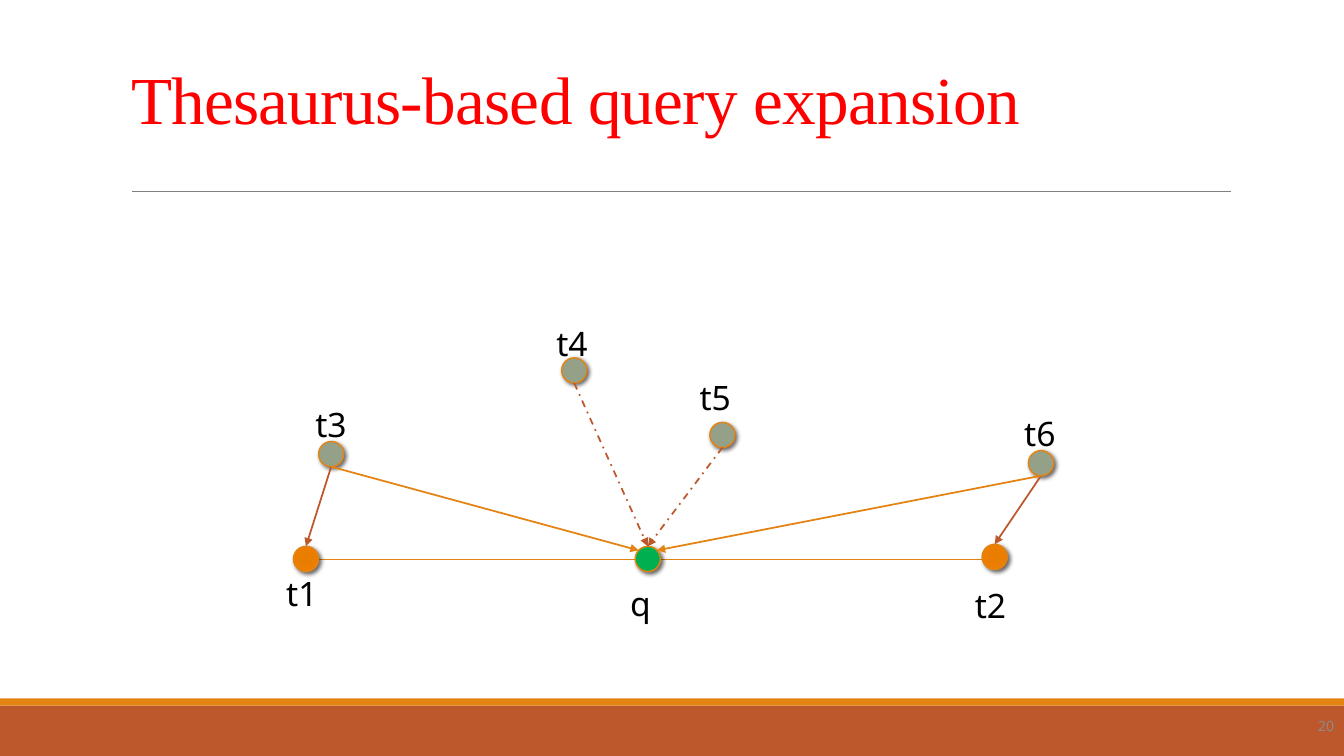
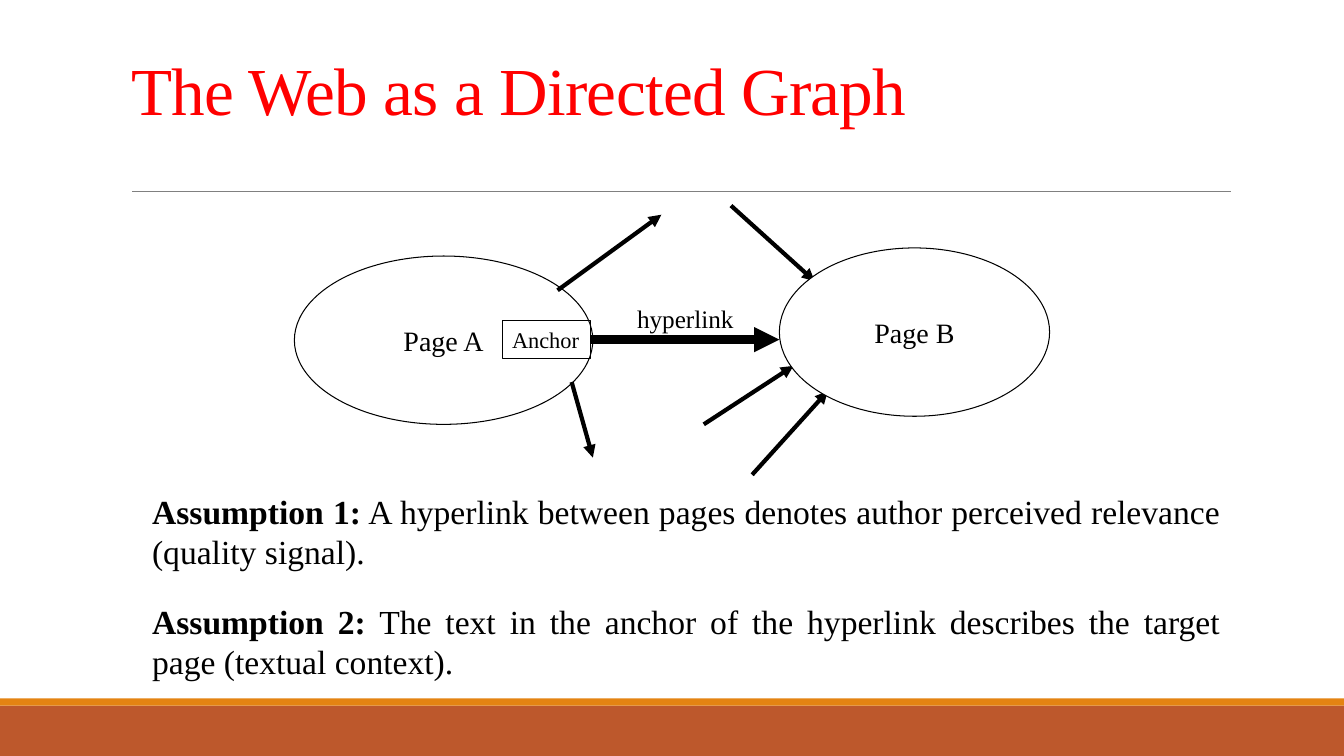
from lxml import etree
from pptx import Presentation
from pptx.dml.color import RGBColor
from pptx.enum.dml import MSO_LINE
from pptx.enum.shapes import MSO_CONNECTOR, MSO_SHAPE
from pptx.enum.text import MSO_ANCHOR, MSO_AUTO_SIZE, PP_ALIGN
from pptx.oxml import parse_xml
from pptx.oxml.ns import nsdecls, qn
from pptx.util import Inches, Pt

RECT, OVAL = MSO_SHAPE.RECTANGLE, MSO_SHAPE.OVAL
LINE, DASH = MSO_CONNECTOR.STRAIGHT, MSO_LINE.DASH_DOT
LEFT, MID, RIGHT, FULL = PP_ALIGN.LEFT, PP_ALIGN.CENTER, PP_ALIGN.RIGHT, PP_ALIGN.JUSTIFY
SERIF, SANS = "Times New Roman", "Noto Sans"
COLORS = {name: RGBColor.from_string(code) for name, code in {
    "rust": "BD582C", "amber": "E48312", "gray": "808080", "red": "FF0000",
    "black": "000000", "white": "FFFFFF", "green": "00B050", "sage": "94A088",
    "page": "8B8B8B"}.items()}

SHADOW = f"""<a:outerShdw {nsdecls("a")} blurRad="38100" dist="25400" dir="2700000" rotWithShape="0">
<a:srgbClr val="000000"><a:alpha val="60000"/></a:srgbClr></a:outerShdw>"""
STOPS = "".join(f'<a:gs pos="{pos}000"><a:srgbClr val="{code}"/></a:gs>' for pos, code in
                [(0, "E57B00"), (34, "E87D00"), (70, "EB7E00"), (100, "EF8407")])
GLOW = f"""<a:gradFill {nsdecls("a")} rotWithShape="1"><a:gsLst>{STOPS}</a:gsLst>
<a:path path="circle"><a:fillToRect l="100000" t="100000" r="100000" b="100000"/></a:path></a:gradFill>"""


def write(shape, runs, size, font=SERIF, color="black", align=LEFT, wrap=False):
    """Fill a shape with one paragraph of (text, bold) runs."""
    frame = shape.text_frame
    frame.word_wrap = wrap
    frame.auto_size = MSO_AUTO_SIZE.NONE
    para = frame.paragraphs[0]
    para.alignment = align
    for text, bold in runs:
        run = para.add_run()
        run.text = text
        run.font.name, run.font.size, run.font.bold = font, Pt(size), bold
        run.font.color.rgb = COLORS[color]
    return para


def link(slide, start, end, color, width, head=True, dash=None):
    """Draw a straight line, with an arrowhead at its end if asked."""
    line = slide.shapes.add_connector(LINE, *[Inches(v) for v in (*start, *end)])
    line.line.color.rgb = COLORS[color]
    line.line.width = Pt(width)
    if dash:
        line.line.dash_style = dash
    props = line.element.spPr
    if head:
        etree.SubElement(props.find(qn("a:ln")), qn("a:tailEnd"), type="triangle")
    etree.SubElement(props, qn("a:effectLst"))
    return line


deck = Presentation()
deck.slide_width, deck.slide_height = Inches(13.33), Inches(7.5)
layout = deck.slide_layouts[5]

# Titles
slides = []
for text, height in [("Thesaurus-based query expansion", 1.11),
                     ("The Web as a Directed Graph", 1.02)]:
    slide = deck.slides.add_slide(layout)
    title = slide.shapes.title
    title.left, title.top = Inches(1.2), Inches(0.31)
    title.width, title.height = Inches(11), Inches(height)
    para = write(title, [(text, False)], 48, color="red", wrap=True)
    para.line_spacing = 0.85
    title.text_frame.vertical_anchor = MSO_ANCHOR.BOTTOM
    title.element.xpath(".//a:rPr")[0].set("spc", "-50")
    slides.append(slide)
graph, web = slides

# Shared bands and rule, moved to the layout
parts = [link(graph, (1.31, 1.9), (12.21, 1.9), "gray", 0.5, head=False)]
for top, height, color in [(7, 0.5, "rust"), (6.93, 0.07, "amber")]:
    band = graph.shapes.add_shape(RECT, 0, Inches(top), deck.slide_width, Inches(height))
    band.shadow.inherit = False
    band.fill.solid()
    band.fill.fore_color.rgb = COLORS[color]
    band.line.fill.background()
    parts.append(band)
for num, part in enumerate(parts, 101):
    part.element.xpath(".//p:cNvPr")[0].set("id", str(num))
    layout.shapes.element.append(part.element)

# Slide 1: page number
box = graph.shapes.add_textbox(Inches(12.33), Inches(7), Inches(1), Inches(0.4))
box.text_frame.vertical_anchor = MSO_ANCHOR.MIDDLE
write(box, [("20", False)], 10, SANS, "page", RIGHT, True)

# Slide 1: terms, each with its node and its label
SIZE = 0.25
HALF = SIZE / 2
link(graph, (3.01, 5.55), (9.84, 5.55), "amber", 1.25, head=False)
terms = {
    "t1": (2.91, 5.42, None, 2.74, 5.63),
    "t2": (9.74, 5.4, None, 9.57, 5.75),
    "q": (6.3, 5.42, "green", 6.15, 5.73),
    "t3": (3.16, 4.38, "sage", 3.03, 3.96),
    "t4": (5.57, 3.55, "sage", 5.42, 3.15),
    "t5": (7.04, 4.19, "sage", 6.84, 3.69),
    "t6": (10.2, 4.47, "sage", 10.06, 4.05),
}
for name, (x, y, color, left, top) in terms.items():
    label = graph.shapes.add_textbox(Inches(left), Inches(top), Inches(0.54 if len(name) > 1 else 0.41), Inches(0.51))
    write(label, [(name, False)], 24, SANS)
    node = graph.shapes.add_shape(OVAL, Inches(x), Inches(y), Inches(SIZE), Inches(SIZE))
    node.line.color.rgb = COLORS["amber"]
    node.line.width = Pt(1)
    node.shadow.inherit = False
    props = node.element.spPr
    props.find(qn("a:effectLst")).append(parse_xml(SHADOW))
    if color:
        node.fill.solid()
        node.fill.fore_color.rgb = COLORS[color]
    else:
        node.fill.background()
        props.replace(props.find(qn("a:noFill")), parse_xml(GLOW))

# Slide 1: arrows from the foot of one node to the top of another
for tail, head, dx, dy, color, dash in [
        ("t3", "t1", 0, 0, "rust", None), ("t3", "q", -0.09, 0.04, "amber", None),
        ("t6", "t2", 0, 0, "rust", None), ("t6", "q", 0.09, 0.04, "amber", None),
        ("t4", "q", 0, 0, "rust", DASH), ("t5", "q", 0, 0, "rust", DASH)]:
    x, y = terms[tail][:2]
    to_x, to_y = terms[head][:2]
    link(graph, (x + HALF, y + SIZE), (to_x + HALF + dx, to_y + dy), color, 1.25, dash=dash)

# Slide 2: assumptions
for top, lead, rest in [
        (4.82, "Assumption 1:", " A hyperlink between pages denotes author perceived relevance (quality signal)."),
        (5.91, "Assumption 2:", " The text in the anchor of the hyperlink describes the target page (textual context).")]:
    box = web.shapes.add_textbox(Inches(1.41), Inches(top), Inches(10.79), Inches(0.91))
    write(box, [(lead, True), (rest, False)], 24, align=FULL, wrap=True)

# Slide 2: arrows into page B, behind it
for start, end in [((6.98, 4.21), (7.87, 3.63)), ((7.46, 4.71), (8.21, 3.88)),
                   ((7.25, 2.04), (8.08, 2.79))]:
    link(web, start, end, "black", 3)

# Slide 2: pages and anchor
for text, kind, x, y, w, h, size, align in [
        ("Page A", OVAL, 2.92, 2.54, 2.96, 1.67, 20, MID),
        ("Page B", OVAL, 7.73, 2.46, 2.68, 1.67, 20, MID),
        ("Anchor", RECT, 4.98, 3.18, 0.88, 0.38, 16, LEFT)]:
    shape = web.shapes.add_shape(kind, Inches(x), Inches(y), Inches(w), Inches(h))
    shape.shadow.inherit = False
    if kind == OVAL:
        shape.fill.solid()
        shape.fill.fore_color.rgb = COLORS["white"]
    else:
        shape.fill.background()
    shape.line.color.rgb = COLORS["black"]
    shape.line.width = Pt(0.75)
    shape.text_frame.vertical_anchor = MSO_ANCHOR.MIDDLE
    write(shape, [(text, False)], size, align=align)
anchor = shape

# Slide 2: hyperlink and arrows out of page A
label = web.shapes.add_textbox(Inches(6.22), Inches(2.96), Inches(1.16), Inches(0.4))
write(label, [("hyperlink", False)], 18)
link(web, (5.86, 3.37), (7.73, 3.37), "black", 6).begin_connect(anchor, 3)
for start, end in [((5.67, 3.79), (5.88, 4.54)), ((5.53, 2.88), (6.56, 2.13))]:
    link(web, start, end, "black", 3)

deck.save("out.pptx")
